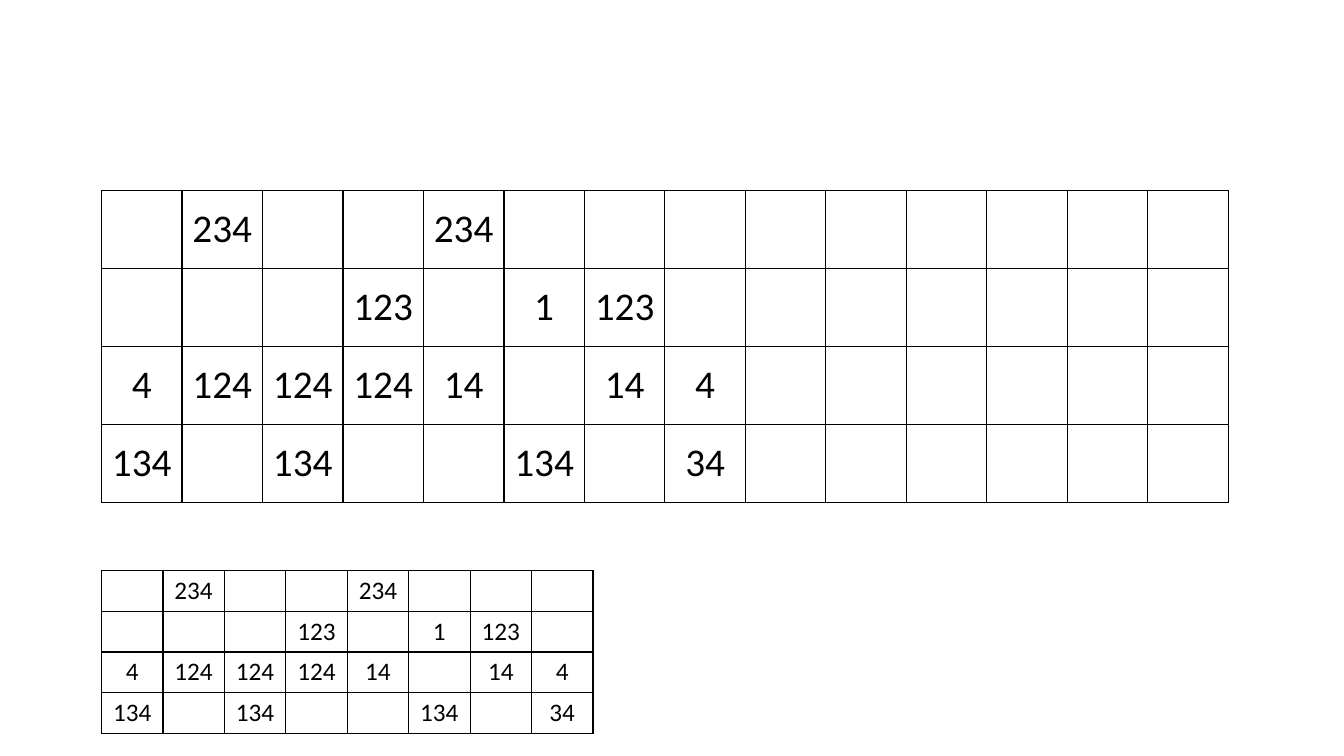
"""Build a slide with a wide and a compact grid of candidate digits."""
from lxml.etree import SubElement
from pptx import Presentation
from pptx.dml.color import RGBColor
from pptx.enum.text import MSO_ANCHOR as Anchor, PP_ALIGN as Align
from pptx.oxml.ns import qn
from pptx.util import Pt

BLACK = RGBColor(0, 0, 0)
DIGITS = [
    ["", "234", "", "", "234", "", "", ""],
    ["", "", "", "123", "", "1", "123", ""],
    ["4", "124", "124", "124", "14", "", "14", "4"],
    ["134", "", "134", "", "", "134", "", "34"],
]
GRIDS = [
    {"top": 136, "columns": 14, "width": 57.5, "height": 55.75, "size": 28},
    {"top": 407.5, "columns": 8, "width": 43.9, "height": 29.1, "size": 18},
]


def write(cell, text, size, color=BLACK, font="Calibri", align=Align.CENTER):
    """Put formatted text in the middle of a cell."""
    cell.vertical_anchor = Anchor.MIDDLE
    para = cell.text_frame.paragraphs[0]
    para.alignment = align
    span = para.add_run()
    span.text = text
    span.font.size = Pt(size)
    span.font.name = font
    span.font.color.rgb = color


def add_borders(cell, width=1, color=BLACK):
    """Draw a solid line on all four sides of a cell."""
    properties = cell._tc.get_or_add_tcPr()
    for side in ("lnL", "lnR", "lnT", "lnB"):
        line = SubElement(properties, qn(f"a:{side}"), w=str(Pt(width)))
        fill = SubElement(line, qn("a:solidFill"))
        SubElement(fill, qn("a:srgbClr"), val=str(color))


deck = Presentation()
deck.slide_width, deck.slide_height = Pt(960), Pt(540)
page = deck.slides.add_slide(deck.slide_layouts[6])

for grid in GRIDS:
    columns, width, height = grid["columns"], grid["width"], grid["height"]
    frame = page.shapes.add_table(
        len(DIGITS), columns, Pt(72.5), Pt(grid["top"]),
        Pt(columns * width), Pt(len(DIGITS) * height))
    table = frame.table
    table.first_row = table.horz_banding = False
    for column in table.columns:
        column.width = Pt(width)
    for row, digits in zip(table.rows, DIGITS):
        row.height = Pt(height)
        for index, cell in enumerate(row.cells):
            cell.margin_left = cell.margin_right = Pt(0)
            cell.margin_top = cell.margin_bottom = Pt(0)
            add_borders(cell)
            cell.fill.background()
            if index < len(digits) and digits[index]:
                write(cell, digits[index], size=grid["size"])

deck.save("out.pptx")
